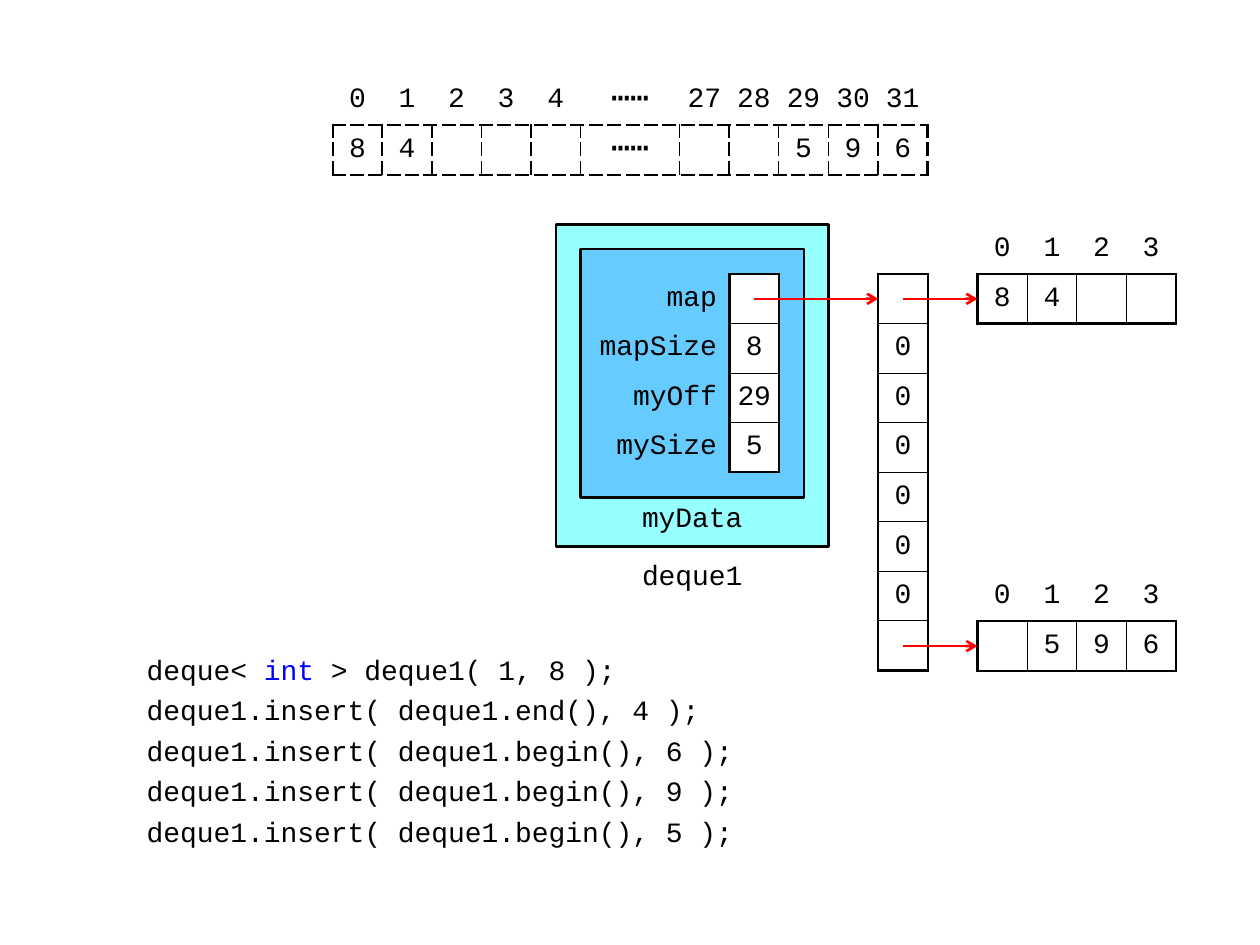
from dataclasses import dataclass

from lxml import etree
from pptx import Presentation
from pptx import util as u
from pptx.dml.color import RGBColor
from pptx.enum import shapes, text
from pptx.oxml.ns import qn


@dataclass(frozen=True)
class Theme:
    font: str = "Courier New"
    size: float = 16
    ellipsis_size: float = 18
    black: str = "000000"
    white: str = "FFFFFF"
    keyword: str = "0000FF"
    arrow: str = "FF0000"
    object_fill: str = "96FFFF"
    data_fill: str = "66CCFF"
    outer: float = 1.5
    inner: float = 0.75
    dashed_inner: float = 1


T = Theme()
CELL = 1 / 2.54  # the layout lies on a one-centimetre grid
LEFT, TOP = 2.64, 0.6
PLAIN_TABLE = "{2D5ABB26-0587-4C30-8999-92F81FD0307C}"
CENTER, RIGHT = text.PP_ALIGN.CENTER, text.PP_ALIGN.RIGHT
ELLIPSIS = "⋯⋯"


def span(cells):
    return u.Inches(cells * CELL)


def at(col, row):
    """Slide position of a grid point."""
    return u.Inches(LEFT + col * CELL), u.Inches(TOP + row * CELL)


def rgb(color):
    return RGBColor.from_string(color)


def add_run(p, content, color=T.black, size=T.size):
    r = p.add_run()
    r.text = content
    r.font.name, r.font.size = T.font, u.Pt(size)
    r.font.color.rgb = rgb(color)


def add_border(cell, side, weight, dash):
    ln = etree.SubElement(cell._tc.get_or_add_tcPr(), qn(f"a:ln{side}"))
    if not weight:
        etree.SubElement(ln, qn("a:noFill"))
        return
    ln.set("w", str(u.Pt(weight)))
    fill = etree.SubElement(ln, qn("a:solidFill"))
    etree.SubElement(fill, qn("a:srgbClr"), val=T.black)
    etree.SubElement(ln, qn("a:prstDash"), val=dash)


def fill_cell(cell, content, align, side_margin):
    cell.vertical_anchor = text.MSO_ANCHOR.MIDDLE
    cell.margin_left = cell.margin_right = u.Inches(side_margin)
    cell.margin_top = cell.margin_bottom = u.Inches(0.04)
    p = cell.text_frame.paragraphs[0]
    p.alignment = align
    if content:
        size = T.ellipsis_size if content == ELLIPSIS else T.size
        add_run(p, content, size=size)


def add_grid(s, col, row, rows, label_rows=0, label_cols=0, widths=None,
             inner=T.inner, dash="solid"):
    """Table of boxed values; leading label rows and columns have no box."""
    n_rows, n_cols = len(rows), len(rows[0])
    widths = widths or [1] * n_cols
    frame = s.shapes.add_table(n_rows, n_cols, *at(col, row),
                               span(sum(widths)), span(n_rows))
    table = frame.table
    table._tbl.tblPr.find(qn("a:tableStyleId")).text = PLAIN_TABLE
    for column, width in zip(table.columns, widths):
        column.width = span(width)
    for table_row in table.rows:
        table_row.height = span(1)

    def boxed(i, j):
        return label_rows <= i < n_rows and label_cols <= j < n_cols

    for i, values in enumerate(rows):
        for j, content in enumerate(values):
            cell = table.cell(i, j)
            is_label_col = j < label_cols
            fill_cell(cell, content, RIGHT if is_label_col else CENTER,
                      0.1 if is_label_col else 0.02)
            for side, di, dj in (("L", 0, -1), ("R", 0, 1),
                                 ("T", -1, 0), ("B", 1, 0)):
                count = boxed(i, j) + boxed(i + di, j + dj)
                add_border(cell, side, (0, T.outer, inner)[count], dash)
            if boxed(i, j):
                cell.fill.solid()
                cell.fill.fore_color.rgb = rgb(T.white)
            else:
                cell.fill.background()


def add_box(s, col, row, width, height, color):
    sp = s.shapes.add_shape(shapes.MSO_SHAPE.FLOWCHART_PROCESS, *at(col, row),
                            span(width), span(height))
    sp.shadow.inherit = False
    sp.fill.solid()
    sp.fill.fore_color.rgb = rgb(color)
    sp.line.color.rgb = rgb(T.black)
    sp.line.width = u.Pt(T.outer)


def add_caption(s, col, row, width, content, top_margin, anchor):
    tf = s.shapes.add_textbox(*at(col, row), span(width), span(1)).text_frame
    tf.word_wrap = True
    tf.vertical_anchor = anchor
    tf.margin_left = tf.margin_right = u.Inches(0.08)
    tf.margin_top, tf.margin_bottom = u.Inches(top_margin), 0
    p = tf.paragraphs[0]
    p.alignment = CENTER
    add_run(p, content)


def add_arrow(s, col, row, end_col):
    line = s.shapes.add_connector(shapes.MSO_CONNECTOR.STRAIGHT,
                                  *at(col, row), *at(end_col, row))
    line.line.color.rgb = rgb(T.arrow)
    line.line.width = u.Pt(T.outer)
    etree.SubElement(line.line._get_or_add_ln(), qn("a:tailEnd"), type="arrow")
    etree.SubElement(line._element.spPr, qn("a:effectLst"))


def add_code(s, col, row, width, height, lines):
    """Each line is a list of (text, color) runs."""
    tf = s.shapes.add_textbox(*at(col, row), span(width), span(height)).text_frame
    tf.word_wrap = True
    for i, runs in enumerate(lines):
        p = tf.add_paragraph() if i else tf.paragraphs[0]
        p.space_before = u.Pt(4)
        for content, color in runs:
            add_run(p, content, color)


def main():
    prs = Presentation()
    prs.slide_width, prs.slide_height = u.Inches(10), u.Inches(7.5)
    s = prs.slides.add_slide(prs.slide_layouts[6])

    inserts = [("end", 4), ("begin", 6), ("begin", 9), ("begin", 5)]
    code = [[("deque< ", T.black), ("int", T.keyword),
             (" > deque1( 1, 8 );", T.black)]]
    code += [[(f"deque1.insert( deque1.{place}(), {value} );", T.black)]
             for place, value in inserts]
    add_code(s, -4, 11.5, 12.5, 4.5, code)

    indexes = [*"01234", ELLIPSIS, *map(str, range(27, 32))]
    elements = ["8", "4", "", "", "", ELLIPSIS, "", "", "5", "9", "6"]
    add_grid(s, 0, 0, [indexes, elements], label_rows=1,
             widths=[1] * 5 + [2] + [1] * 5,
             inner=T.dashed_inner, dash="sysDash")

    add_box(s, 4.5, 3, 5.5, 6.5, T.object_fill)
    add_box(s, 5, 3.5, 4.5, 5, T.data_fill)
    add_caption(s, 5.5, 9.5, 3.5, "deque1", 0.04, text.MSO_ANCHOR.MIDDLE)
    add_caption(s, 6, 8.5, 2.5, "myData", 0.02, text.MSO_ANCHOR.TOP)
    members = [["map", ""], ["mapSize", "8"], ["myOff", "29"], ["mySize", "5"]]
    add_grid(s, 5, 4, members, label_cols=1, widths=[3, 1])

    add_grid(s, 11, 4, [[value] for value in ["", *"000000", ""]])
    for row, block in ((3, ["8", "4", "", ""]), (10, ["", "5", "9", "6"])):
        add_grid(s, 13, row, [list("0123"), block], label_rows=1)
        add_arrow(s, 11.5, row + 1.5, 13)
    add_arrow(s, 8.5, 4.5, 11)

    prs.save("out.pptx")


if __name__ == "__main__":
    main()
